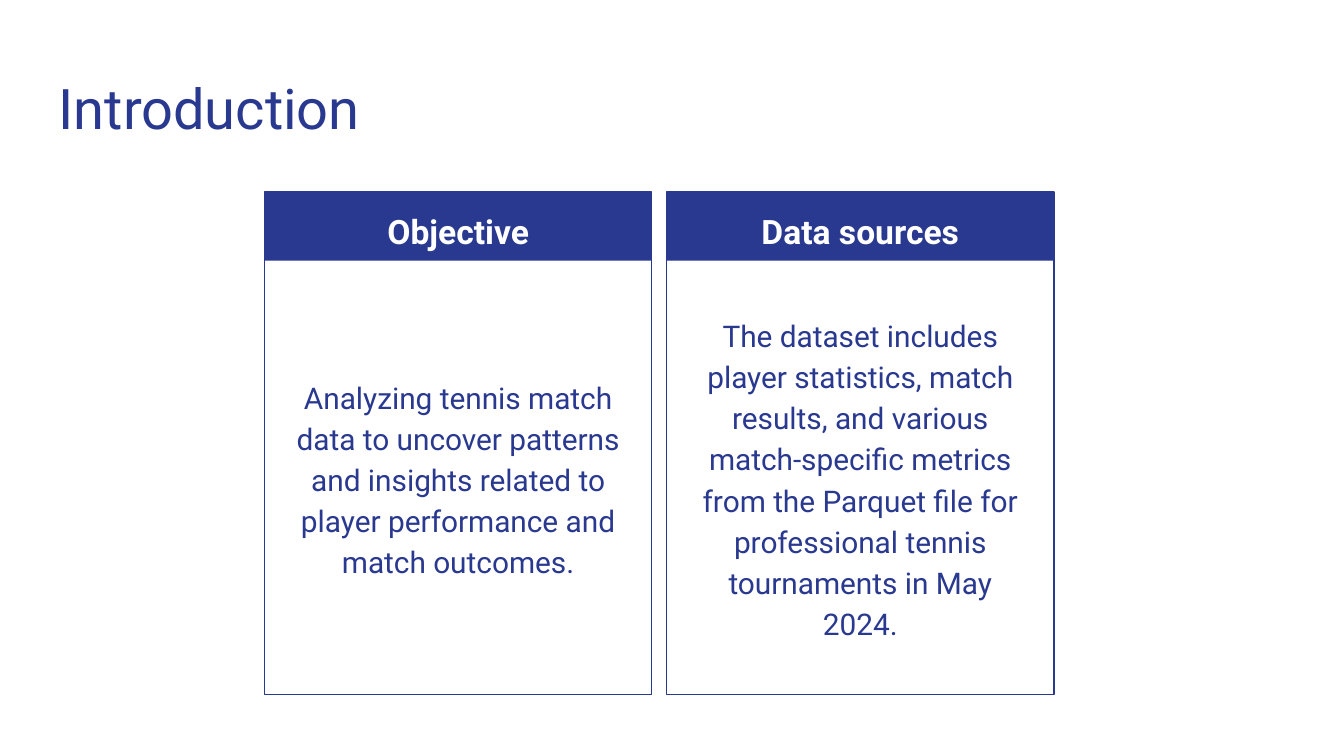
"""Build an introduction slide with a title and two headed cards."""
from dataclasses import dataclass

from pptx import Presentation
from pptx import util as u
from pptx.dml.color import RGBColor
from pptx.enum import shapes, text

BLUE = "2A3990"
WHITE = "FFFFFF"
FONT = "Roboto"
LEFT, TOP, STEP = 5.0, 3.63, 7.6
WIDTH, HIGH, HEAD = 7.32, 9.5, 1.3


@dataclass
class Card:
    head: str
    body: str


@dataclass
class Box:
    left: float
    top: float
    width: float
    high: float

    def place(self) -> list[u.Length]:
        return [u.Cm(n) for n in (self.left, self.top, self.width, self.high)]


CARDS = [
    Card("Objective",
         "Analyzing tennis match data to uncover patterns and insights "
         "related to player performance and match outcomes."),
    Card("Data sources",
         "The dataset includes player statistics, match results, and various "
         "match-specific metrics from the Parquet file for professional "
         "tennis tournaments in May 2024."),
]


def paint(color, code: str) -> None:
    color.rgb = RGBColor.from_string(code)


def write(slide, box: Box, words: str, size: int, code: str = BLUE,
          bold: bool = False, align=text.PP_ALIGN.CENTER,
          anchor=text.MSO_ANCHOR.TOP, space: float = 1.15,
          after: int = 0) -> None:
    frame = slide.shapes.add_textbox(*box.place()).text_frame
    frame.text = words
    frame.word_wrap = True
    frame.vertical_anchor = anchor
    frame.margin_left = frame.margin_right = u.Cm(0.25)
    frame.margin_top = frame.margin_bottom = u.Cm(0.25)
    para = frame.paragraphs[0]
    para.alignment = align
    para.line_spacing = space
    para.space_after = u.Pt(after)
    font = para.runs[0].font
    font.name, font.size, font.bold = FONT, u.Pt(size), bold
    paint(font.color, code)


def block(slide, box: Box, solid: bool) -> None:
    rect = slide.shapes.add_shape(shapes.MSO_SHAPE.RECTANGLE, *box.place())
    rect.shadow.inherit = False
    if solid:
        rect.fill.solid()
        paint(rect.fill.fore_color, BLUE)
        rect.line.fill.background()
    else:
        rect.fill.background()
        paint(rect.line.color, BLUE)
        rect.line.width = u.Pt(0.75)


def draw(slide, card: Card, left: float) -> None:
    block(slide, Box(left, TOP, WIDTH, HEAD), True)
    block(slide, Box(left, TOP, WIDTH, HIGH), False)
    write(slide, Box(left + 0.2, TOP, WIDTH - 0.4, HEAD), card.head, 18,
          WHITE, bold=True)
    write(slide, Box(left + 0.22, TOP + 1.5, WIDTH - 0.44, 7.77), card.body,
          16, anchor=text.MSO_ANCHOR.MIDDLE, after=16)


def main() -> None:
    deck = Presentation()
    deck.slide_width, deck.slide_height = u.Cm(25.4), u.Cm(14.29)
    slide = deck.slides.add_slide(deck.slide_layouts[6])
    write(slide, Box(0.86, 1.14, 23.67, 1.68), "Introduction", 30,
          align=text.PP_ALIGN.LEFT, space=1.0)
    for num, card in enumerate(CARDS):
        draw(slide, card, LEFT + num * STEP)
    deck.save("out.pptx")


if __name__ == "__main__":
    main()
